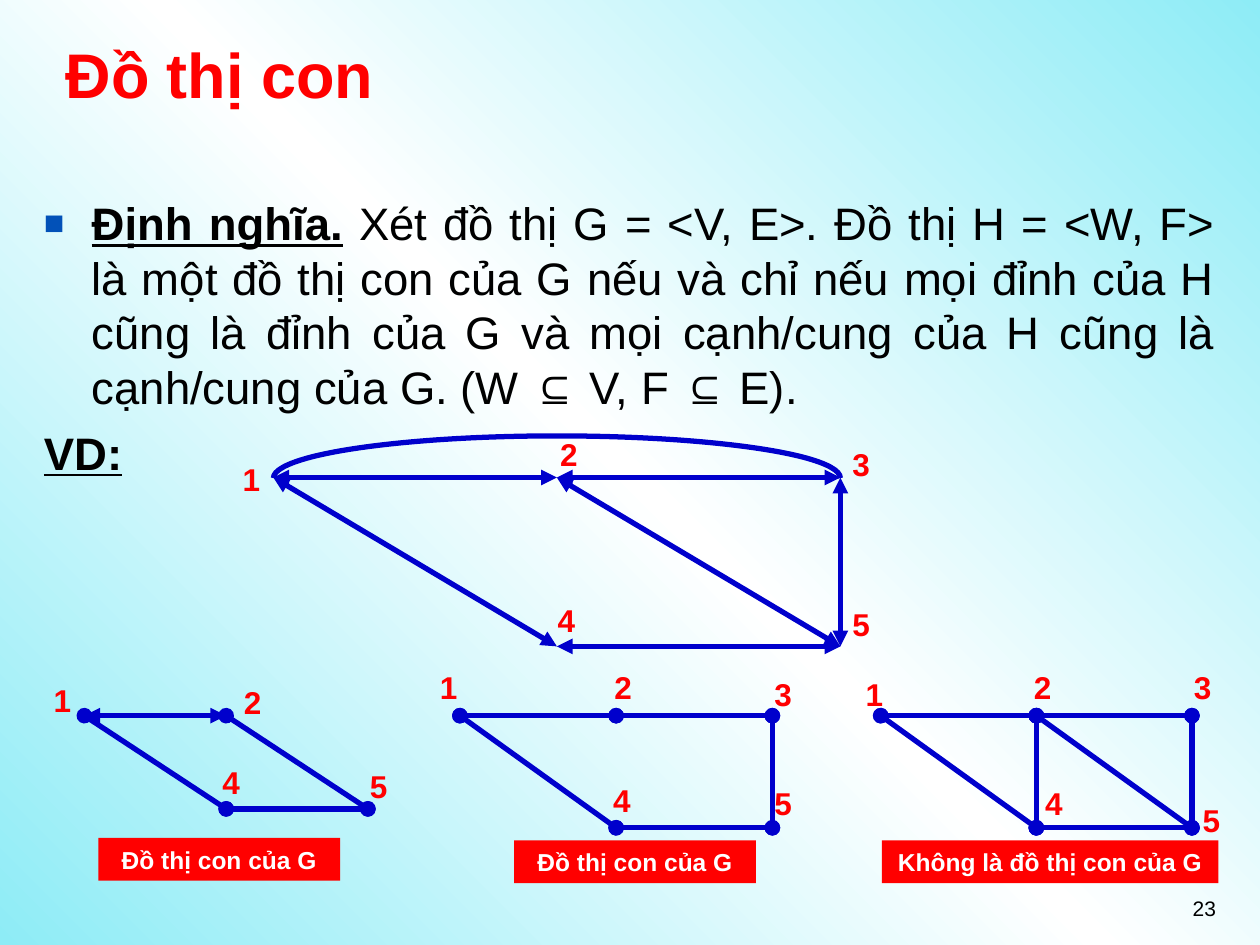
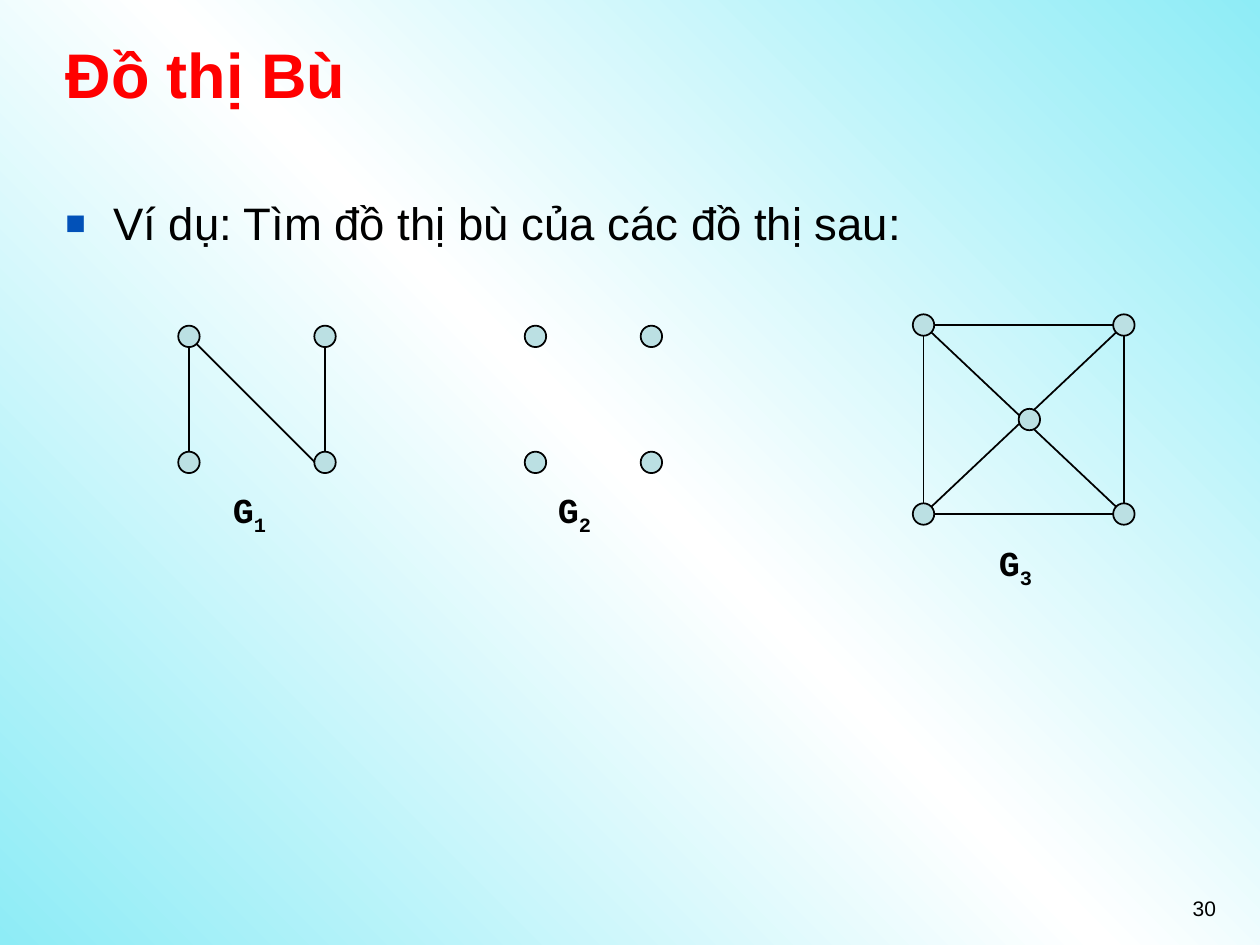
from copy import deepcopy

from lxml import etree
from pptx import Presentation
from pptx import util as u
from pptx.dml.color import RGBColor
from pptx.enum import shapes, text
from pptx.oxml.ns import qn

RED, BLUE, BLACK, WHITE = "FF0000", "0000CC", "000000", "FFFFFF"
AQUA, BULLET, NODE = "8EECF6", "0251B8", "BBE0E3"
ALIGN = text.PP_ALIGN
NODE_SIZE = 0.17

# Column and row of each numbered vertex in a numbered graph
VERTEX_GRID = {"1": (0, 0), "2": (1, 0), "3": (2, 0), "4": (1, 1), "5": (2, 1)}


def color(hex_value):
    return RGBColor.from_string(hex_value)


def inches(*lengths):
    return [u.Inches(length) for length in lengths]


def add_run(paragraph, words, size, ink, face="Arial", **styles):
    run = paragraph.add_run()
    run.text = words
    run.font.color.rgb = color(ink)
    for name, value in {"name": face, "size": u.Pt(size), **styles}.items():
        setattr(run.font, name, value)
    return run


def add_text_box(canvas, box):
    frame = canvas.add_textbox(*inches(*box)).text_frame
    frame.word_wrap = True
    return frame


# Shared look
def paint_background(master):
    fill = master.background.fill
    fill.gradient()
    fill.gradient_angle = 45
    stop_list = master.element.find(".//" + qn("a:gsLst"))
    stop_list.append(deepcopy(stop_list[-1]))
    for stop, (position, hue) in zip(fill.gradient_stops, [(0, AQUA), (0.5, WHITE), (1, AQUA)]):
        stop.position = position
        stop.color.rgb = color(hue)


def start_slide(prs, heading, number):
    slide = prs.slides.add_slide(prs.slide_layouts[5])
    title = slide.shapes.title
    title.left, title.top, title.width, title.height = inches(0.42, 0.17, 9.08, 0.83)
    title.text_frame.auto_size = text.MSO_AUTO_SIZE.NONE
    title.text_frame.vertical_anchor = text.MSO_ANCHOR.MIDDLE
    line = title.text_frame.paragraphs[0]
    line.alignment = ALIGN.LEFT
    add_run(line, heading, 36, RED, bold=True)

    page = add_text_box(slide.shapes, (7.42, 7.06, 2.33, 0.52)).paragraphs[0]
    page.alignment = ALIGN.RIGHT
    add_run(page, number, 12, BLACK)
    return slide


def add_body_paragraph(paragraph, bullet, *runs):
    """Each run is (words, emphasised)."""
    props = paragraph._p.get_or_add_pPr()
    props.set("marL", str(u.Inches(0.38)))
    props.set("indent", str(u.Inches(-0.38)))
    if bullet:
        hue = etree.SubElement(props, qn("a:buClr"))
        etree.SubElement(hue, qn("a:srgbClr"), val=BULLET)
        etree.SubElement(props, qn("a:buSzPct"), val="75000")
        etree.SubElement(props, qn("a:buFont"), typeface="Arial")
        etree.SubElement(props, qn("a:buChar"), char="■")
    paragraph.alignment = ALIGN.JUSTIFY
    for words, emphasised in runs:
        add_run(paragraph, words, 26, BLACK, bold=emphasised, underline=emphasised)


# Graph parts
def add_edge(canvas, start, end, hue, width, ends=None):
    edge = canvas.add_connector(shapes.MSO_CONNECTOR.STRAIGHT, *inches(*start, *end))
    edge.line.color.rgb = color(hue)
    edge.line.width = u.Pt(width)
    etree.SubElement(edge._element.spPr, qn("a:effectLst"))
    if ends:
        stroke = edge.line._get_or_add_ln()
        for tag in ("a:headEnd", "a:tailEnd"):
            etree.SubElement(stroke, qn(tag), type=ends)


def add_outline(canvas, kind, box, fill=None, line=None, width=1):
    shape = canvas.add_shape(kind, *inches(*box))
    shape.shadow.inherit = False
    if fill:
        shape.fill.solid()
        shape.fill.fore_color.rgb = color(fill)
    else:
        shape.fill.background()
    if line:
        shape.line.color.rgb = color(line)
        shape.line.width = u.Pt(width)
    else:
        shape.line.fill.background()
    return shape


def add_numbered_graph(slide, origin, step, edges, labels):
    """edges maps an end style to vertex pairs, labels a vertex to left, top, width."""
    canvas = slide.shapes.add_group_shape().shapes
    points = {vertex: (origin[0] + col * step[0], origin[1] + row * step[1])
              for vertex, (col, row) in VERTEX_GRID.items()}
    for ends, pairs in edges.items():
        for a, b in pairs.split():
            add_edge(canvas, points[a], points[b], BLUE, 3, ends)
    for vertex, (left, top, width) in labels.items():
        line = add_text_box(canvas, (left, top, width, 0.4)).paragraphs[0]
        line.alignment = ALIGN.CENTER
        add_run(line, vertex, 18, RED, bold=True)
    return canvas


def add_caption(canvas, words, left, top, width):
    plate = add_outline(canvas, shapes.MSO_SHAPE.RECTANGLE, (left, top, width, 0.34), RED)
    plate.text_frame.word_wrap = True
    line = plate.text_frame.paragraphs[0]
    line.alignment = ALIGN.CENTER
    add_run(line, words, 14, WHITE, bold=True)


def add_nodes(canvas, columns, rows):
    for x in columns:
        for y in rows:
            corner = (x - NODE_SIZE / 2, y - NODE_SIZE / 2)
            add_outline(canvas, shapes.MSO_SHAPE.OVAL, (*corner, NODE_SIZE, NODE_SIZE), NODE, BLACK)


def add_graph_name(canvas, index, left, top):
    line = add_text_box(canvas, (left, top, 0.67, 0.48)).paragraphs[0]
    add_run(line, "G", 20, BLACK, "Courier New", bold=True)
    subscript = add_run(line, index, 20, BLACK, "Courier New", bold=True)
    subscript.font._element.set("baseline", "-25000")


# Slides
def build_subgraphs(prs):
    slide = start_slide(prs, "Đồ thị con", "23")
    body = add_text_box(slide.shapes, (0.25, 1.5, 9.5, 5.2))
    add_body_paragraph(
        body.paragraphs[0], True, ("Định nghĩa.", True),
        (" Xét đồ thị G = <V, E>. Đồ thị H = <W, F> là một đồ thị con của G nếu và chỉ nếu "
         "mọi đỉnh của H cũng là đỉnh của G và mọi cạnh/cung của H cũng là cạnh/cung của G. "
         "(W ⊆ V, F ⊆ E).", False))
    example = body.add_paragraph()
    add_body_paragraph(example, False, ("VD:", True))
    example.space_before = u.Pt(6.5)

    # The whole graph G
    whole = add_numbered_graph(
        slide, (2.17, 3.79), (2.25, 1.34), {"triangle": "12 23 45 14 25 35"},
        {"3": (6.17, 3.48, 1.33), "2": (3.85, 3.4, 1.33), "1": (1.58, 3.6, 0.83),
         "5": (6.17, 4.75, 1.33), "4": (3.83, 4.72, 1.33)})
    arc = add_outline(whole, shapes.MSO_SHAPE.ARC, (2.17, 3.46, 4.5, 0.67), line=BLUE, width=3)
    arc.adjustments[0], arc.adjustments[1] = 108, 0  # half turn, in units of 1/0.6 degree

    # Candidates below: two subgraphs and one that is not
    first = add_numbered_graph(
        slide, (0.67, 5.68), (1.125, 0.74), {"triangle": "12", "oval": "45 14 25"},
        {"1": (0.08, 5.36, 0.83), "2": (1.67, 5.37, 0.67),
         "5": (2.67, 6.04, 0.67), "4": (1.5, 6.01, 0.67)})
    add_caption(first, "Đồ thị con của G", 0.78, 6.65, 1.92)

    second = add_numbered_graph(
        slide, (3.65, 5.68), (1.24, 0.89), {"oval": "12 23 45 14 35"},
        {"3": (5.85, 5.31, 0.73), "2": (4.58, 5.25, 0.73), "1": (3.33, 5.25, 0.46),
         "5": (5.85, 6.17, 0.73), "4": (4.57, 6.15, 0.73)})
    add_caption(second, "Đồ thị con của G", 4.08, 6.67, 1.92)

    third = add_numbered_graph(
        slide, (6.99, 5.68), (1.235, 0.89), {"oval": "12 23 45 14 25 35 24"},
        {"3": (9.18, 5.25, 0.73), "2": (7.91, 5.25, 0.73), "1": (6.71, 5.31, 0.46),
         "5": (9.25, 6.31, 0.73), "4": (8, 6.17, 0.73)})
    add_caption(third, "Không là đồ thị con của G", 7, 6.67, 2.67)


def build_complements(prs):
    slide = start_slide(prs, "Đồ thị Bù", "30")
    body = add_text_box(slide.shapes, (0.42, 1.5, 9.08, 5.2))
    add_body_paragraph(body.paragraphs[0], True,
                       ("Ví dụ: Tìm đồ thị bù của các đồ thị sau:", False))
    canvas = slide.shapes.add_group_shape().shapes
    top, bottom = 2.67, 3.67

    # G1: a zigzag path
    left, right = 1.5, 2.58
    for start, end in [((left, top), (left, bottom)),
                       ((left, top), (right, 3.75)),
                       ((right, 3.75), (right, top))]:
        add_edge(canvas, start, end, BLACK, 1)
    add_nodes(canvas, (left, right), (top, bottom))
    add_graph_name(canvas, "1", 1.75, 3.83)

    # G2: four isolated vertices
    add_nodes(canvas, (4.25, 5.17), (top, bottom))
    add_graph_name(canvas, "2", 4.33, 3.83)

    # G3: a wheel with a square rim
    left, right, top, bottom = 7.33, 8.92, 2.58, 4.08
    add_outline(canvas, shapes.MSO_SHAPE.RECTANGLE,
                (left, top, right - left, bottom - top), line=BLACK)
    add_edge(canvas, (left, bottom), (right, top), BLACK, 1)
    add_edge(canvas, (left, top), (right, bottom), BLACK, 1)
    add_nodes(canvas, (left, right), (top, bottom))
    add_nodes(canvas, [8.17], [3.33])
    add_graph_name(canvas, "3", 7.83, 4.25)


def main():
    prs = Presentation()
    prs.slide_width, prs.slide_height = inches(10, 7.5)
    paint_background(prs.slide_master)
    build_subgraphs(prs)
    build_complements(prs)
    prs.save("out.pptx")


if __name__ == "__main__":
    main()
